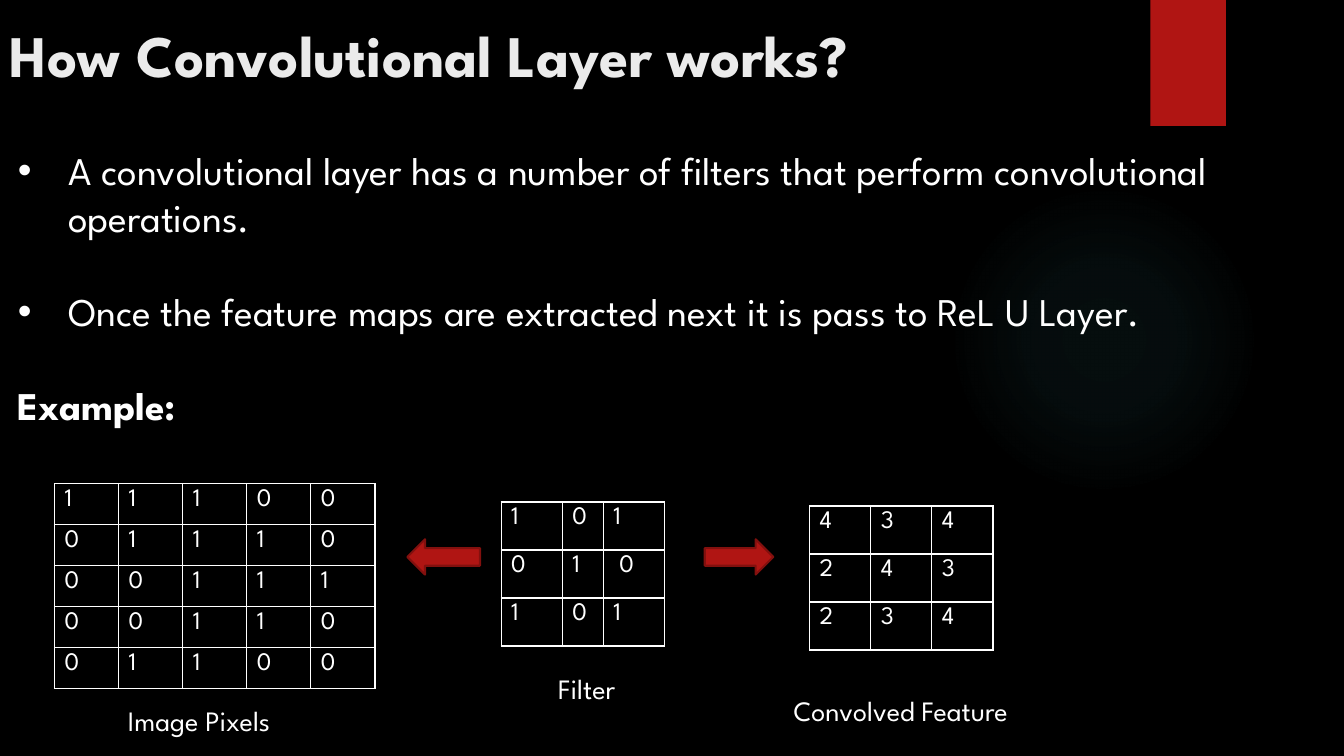
from dataclasses import dataclass

from pptx import Presentation
from pptx.dml.color import RGBColor
from pptx.enum.shapes import MSO_SHAPE
from pptx.enum.text import PP_ALIGN
from pptx.oxml import parse_xml
from pptx.oxml.ns import nsdecls
from pptx.slide import Slide
from pptx.table import _Cell
from pptx.text.text import _Paragraph
from pptx.util import Inches, Pt

COLORS = {
    "background": "000000",
    "title": "EBEBEB",
    "text": "FFFFFF",
    "accent": "B01513",
    "outline": "82100E",
    "glow": "50B9C1",
}
FONT = "League Spartan"
TITLE_FORMAT = {"name": FONT, "size": Pt(42), "bold": True}
BODY_FORMAT = {"name": FONT, "size": Pt(28), "bold": False}
HEADING_FORMAT = {**BODY_FORMAT, "bold": True}
CELL_FORMAT = {"name": FONT, "size": Pt(18), "bold": False}
CAPTION_FORMAT = {"name": FONT, "size": Pt(20), "bold": False}
BODY_GAP = Pt(33.6)


@dataclass(frozen=True)
class Box:
    left: float
    top: float
    width: float
    height: float

    def lengths(self) -> tuple[int, ...]:
        return tuple(Inches(v) for v in (self.left, self.top, self.width, self.height))


@dataclass(frozen=True)
class Matrix:
    box: Box
    column_weights: tuple[float, ...]
    rows: tuple[tuple[str, ...], ...]
    caption: str
    caption_box: Box


@dataclass(frozen=True)
class BodyLine:
    text: str
    format: dict
    bulleted: bool = False


ARROWS = (
    (MSO_SHAPE.RIGHT_ARROW, Box(6.99, 5.35, 0.68, 0.35)),
    (MSO_SHAPE.LEFT_ARROW, Box(4.04, 5.35, 0.72, 0.35)),
)
MATRICES = (
    Matrix(Box(0.54, 4.8, 3.18, 2.03), (1, 1, 1, 1, 1),
           (("1", "1", "1", "0", "0"),
            ("0", "1", "1", "1", "0"),
            ("0", "0", "1", "1", "1"),
            ("0", "0", "1", "1", "0"),
            ("0", "1", "1", "0", "0")),
           "Image Pixels", Box(1.04, 6.93, 1.87, 0.44)),
    Matrix(Box(4.97, 4.98, 1.62, 1.43), (3, 2, 3),
           (("1", "0", "1"), ("0", "1", " 0"), ("1", "0", "1")),
           "Filter", Box(4.97, 6.61, 1.7, 0.44)),
    Matrix(Box(8.03, 5.02, 1.82, 1.43), (1, 1, 1),
           (("4", "3", "4"), ("2", "4", "3"), ("2", "3", "4")),
           "Convolved Feature", Box(7.52, 6.83, 2.83, 0.44)),
)
BODY_LINES = (
    BodyLine("A convolutional layer has a number of filters that perform "
             "convolutional operations.", BODY_FORMAT, True),
    BodyLine("Once the feature maps are extracted next it is pass to ReL U Layer.",
             BODY_FORMAT, True),
    BodyLine("Example:", HEADING_FORMAT),
)


def color(name: str) -> RGBColor:
    return RGBColor.from_string(COLORS[name])


def write(paragraph: _Paragraph, text: str, font_format: dict, color_name: str = "text") -> None:
    paragraph.text = text
    for font in (paragraph.font, paragraph.runs[0].font):
        for attribute, value in font_format.items():
            setattr(font, attribute, value)
        font.color.rgb = color(color_name)


def add_glow(slide: Slide, box: Box) -> None:
    """Draw a faint circle that fades out towards its edge."""
    circle = slide.shapes.add_shape(MSO_SHAPE.OVAL, *box.lengths())
    circle.shadow.inherit = False
    circle.line.fill.background()
    circle.fill.background()
    stops = "".join(
        f'<a:gs pos="{position * 1000}"><a:srgbClr val="{COLORS["glow"]}">'
        f'<a:alpha val="{alpha * 1000}"/></a:srgbClr></a:gs>'
        for position, alpha in ((0, 7), (36, 6), (69, 0))
    )
    gradient = parse_xml(
        f'<a:gradFill {nsdecls("a")} rotWithShape="1"><a:gsLst>{stops}</a:gsLst>'
        '<a:path path="circle"><a:fillToRect l="50000" t="50000" r="50000" b="50000"/>'
        '</a:path></a:gradFill>'
    )
    properties = circle._element.spPr
    properties.replace(properties.find("{*}noFill"), gradient)


def add_red_shape(slide: Slide, kind: MSO_SHAPE, box: Box, outlined: bool) -> None:
    shape = slide.shapes.add_shape(kind, *box.lengths())
    shape.shadow.inherit = False
    shape.fill.solid()
    shape.fill.fore_color.rgb = color("accent")
    if outlined:
        shape.line.color.rgb = color("outline")
        shape.line.width = Pt(1.5)
    else:
        shape.line.fill.background()


def add_label(slide: Slide, box: Box, text: str, font_format: dict,
              color_name: str, alignment: PP_ALIGN) -> None:
    frame = slide.shapes.add_textbox(*box.lengths()).text_frame
    frame.word_wrap = True
    paragraph = frame.paragraphs[0]
    write(paragraph, text, font_format, color_name)
    paragraph.alignment = alignment


def add_body(slide: Slide, box: Box) -> None:
    frame = slide.shapes.add_textbox(*box.lengths()).text_frame
    frame.word_wrap = True
    for index, line in enumerate(BODY_LINES):
        paragraph = frame.add_paragraph() if index else frame.paragraphs[0]
        if index:
            paragraph.space_before = BODY_GAP
        if line.bulleted:
            properties = paragraph._p.get_or_add_pPr()
            properties.set("marL", str(Inches(0.5)))
            properties.set("indent", str(-Inches(0.5)))
            properties.append(parse_xml(f'<a:buFont {nsdecls("a")} typeface="Arial"/>'))
            properties.append(parse_xml(f'<a:buChar {nsdecls("a")} char="•"/>'))
        write(paragraph, line.text, line.format)


def style_cell(cell: _Cell) -> None:
    """Give the cell a thin border on all sides and no fill."""
    properties = cell._tc.get_or_add_tcPr()
    for side in "LRTB":
        properties.append(parse_xml(
            f'<a:ln{side} {nsdecls("a")} w="{Pt(1)}"><a:solidFill>'
            f'<a:srgbClr val="{COLORS["text"]}"/></a:solidFill></a:ln{side}>'
        ))
    cell.fill.background()


def add_matrix(slide: Slide, matrix: Matrix) -> None:
    table = slide.shapes.add_table(
        len(matrix.rows), len(matrix.column_weights), *matrix.box.lengths()).table
    table.first_row = table.horz_banding = False
    for column, weight in zip(table.columns, matrix.column_weights):
        column.width = Inches(matrix.box.width * weight / sum(matrix.column_weights))
    for row, values in zip(table.rows, matrix.rows):
        row.height = Inches(matrix.box.height / len(matrix.rows))
        for cell, value in zip(row.cells, values):
            style_cell(cell)
            write(cell.text_frame.paragraphs[0], value, CELL_FORMAT)
    add_label(slide, matrix.caption_box, matrix.caption, CAPTION_FORMAT,
              "text", PP_ALIGN.CENTER)


def main() -> None:
    presentation = Presentation()
    presentation.slide_width = Inches(13.33)
    presentation.slide_height = Inches(7.5)
    slide = presentation.slides.add_slide(presentation.slide_layouts[6])
    slide.background.fill.solid()
    slide.background.fill.fore_color.rgb = color("background")

    add_glow(slide, Box(9.41, 1.83, 3.08, 3.08))
    add_red_shape(slide, MSO_SHAPE.RECTANGLE, Box(11.41, 0, 0.75, 1.25), outlined=False)
    add_label(slide, Box(0, 0.14, 10.29, 1.53), "How Convolutional Layer works?",
              TITLE_FORMAT, "title", PP_ALIGN.LEFT)
    add_body(slide, Box(0.08, 1.4, 13.17, 3.4))
    for kind, box in ARROWS:
        add_red_shape(slide, kind, box, outlined=True)
    for matrix in MATRICES:
        add_matrix(slide, matrix)
    presentation.save("out.pptx")


if __name__ == "__main__":
    main()
